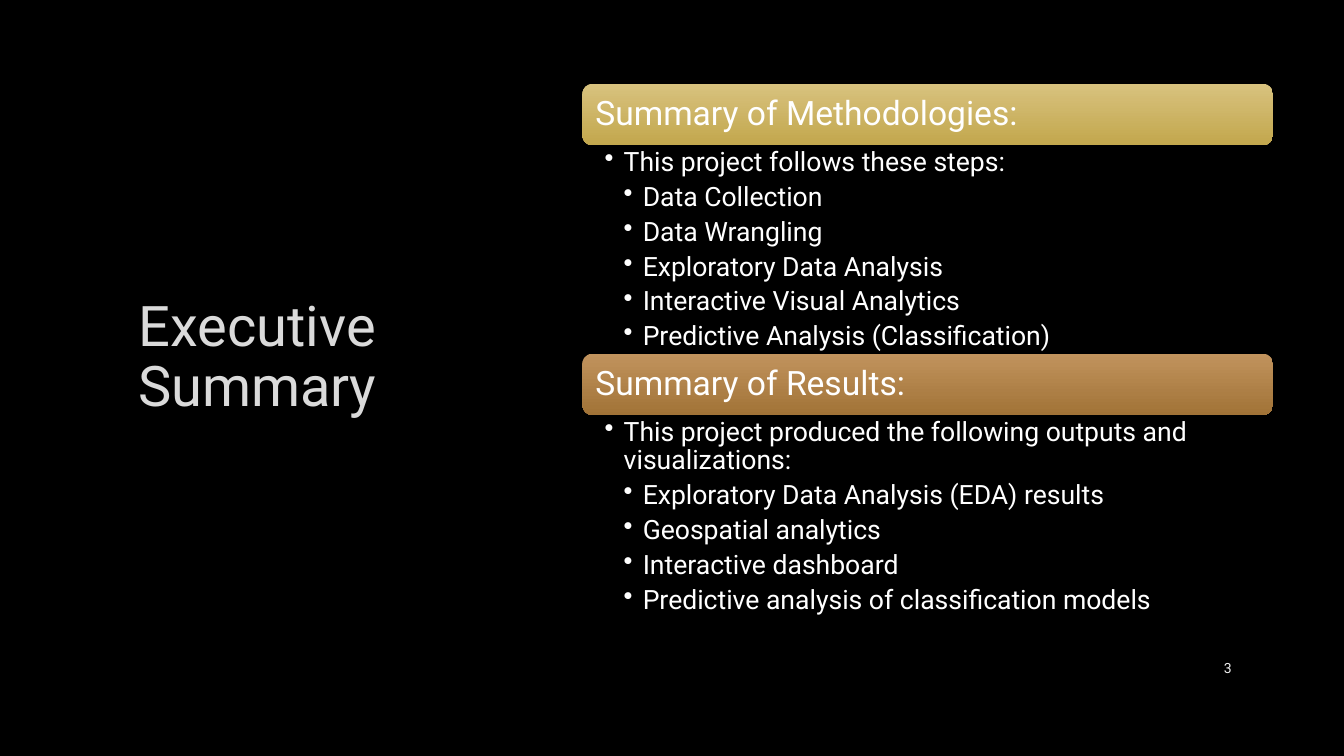
from dataclasses import dataclass

from lxml import etree
from pptx import Presentation
from pptx import util as u
from pptx.dml.color import RGBColor
from pptx.enum import shapes, text
from pptx.oxml import ns

FONT = "Roboto"
BLACK = RGBColor(0x00, 0x00, 0x00)
WHITE = RGBColor(0xFF, 0xFF, 0xFF)
TITLE_GREY = RGBColor(0xDA, 0xDA, 0xDA)
NUMBER_GREY = RGBColor(0xF2, 0xF2, 0xF2)
GOLD = (RGBColor(0xD8, 0xC2, 0x7E), RGBColor(0xC2, 0xA7, 0x4D))
BRONZE = (RGBColor(0xC1, 0x93, 0x5D), RGBColor(0xA1, 0x73, 0x37))

SECTIONS_LEFT = 14.68
SECTIONS_TOP = 2.11
SECTIONS_WIDTH = 17.4
HEADING_HEIGHT = 1.55
INDENT = 0.48


@dataclass
class Section:
    heading: str
    gradient: tuple[RGBColor, RGBColor]
    intro: str
    points: list[str]
    points_height: float


SECTIONS = [
    Section(
        "Summary of Methodologies:",
        GOLD,
        "This project follows these steps:",
        [
            "Data Collection",
            "Data Wrangling",
            "Exploratory Data Analysis",
            "Interactive Visual Analytics",
            "Predictive Analysis (Classification)",
        ],
        5.25,
    ),
    Section(
        "Summary of Results:",
        BRONZE,
        "This project produced the following outputs and visualizations:",
        [
            "Exploratory Data Analysis (EDA) results",
            "Geospatial analytics",
            "Interactive dashboard",
            "Predictive analysis of classification models",
        ],
        4.98,
    ),
]


def style(paragraph, size: float, color: RGBColor, align=text.PP_ALIGN.LEFT,
          spacing: float = 0.9, after: float = 0) -> None:
    paragraph.alignment = align
    paragraph.line_spacing = spacing
    paragraph.space_after = u.Pt(after)
    paragraph.font.name = FONT
    paragraph.font.size = u.Pt(size)
    paragraph.font.color.rgb = color


def add_bullet(paragraph, level: int) -> None:
    paragraph.level = level
    properties = paragraph._p.get_or_add_pPr()
    properties.set("marL", str(u.Cm(INDENT * level)))
    properties.set("indent", str(-u.Cm(INDENT)))
    etree.SubElement(properties, ns.qn("a:buChar")).set("char", "•")


def add_frame(slide, left: float, top: float, width: float, height: float):
    frame = slide.shapes.add_textbox(
        u.Cm(left), u.Cm(top), u.Cm(width), u.Cm(height)).text_frame
    frame.word_wrap = True
    return frame


def add_heading(slide, section: Section, top: float) -> None:
    heading = slide.shapes.add_shape(
        shapes.MSO_SHAPE.ROUNDED_RECTANGLE, u.Cm(SECTIONS_LEFT), u.Cm(top),
        u.Cm(SECTIONS_WIDTH), u.Cm(HEADING_HEIGHT))
    heading.shadow.inherit = False
    heading.line.fill.background()
    heading.fill.gradient()
    heading.fill.gradient_angle = 270
    for stop, color in zip(heading.fill.gradient_stops, section.gradient):
        stop.color.rgb = color
    frame = heading.text_frame
    frame.margin_left = frame.margin_right = u.Cm(0.25)
    frame.vertical_anchor = text.MSO_ANCHOR.MIDDLE
    frame.text = section.heading
    style(frame.paragraphs[0], 24, WHITE)


def add_points(slide, section: Section, top: float) -> None:
    frame = add_frame(slide, SECTIONS_LEFT, top, SECTIONS_WIDTH, section.points_height)
    frame.margin_left, frame.margin_right = u.Cm(0.56), u.Cm(0.48)
    frame.margin_top = frame.margin_bottom = u.Cm(0.08)
    frame.text = "\n".join([section.intro, *section.points])
    for index, paragraph in enumerate(frame.paragraphs):
        add_bullet(paragraph, 2 if index else 1)
        style(paragraph, 19, WHITE, after=4.4)


def main() -> None:
    deck = Presentation()
    deck.slide_width, deck.slide_height = u.Cm(33.87), u.Cm(19.05)
    slide = deck.slides.add_slide(deck.slide_layouts[6])
    slide.background.fill.solid()
    slide.background.fill.fore_color.rgb = BLACK

    title = add_frame(slide, 1.75, 1.7, 9.47, 14.66)
    title.vertical_anchor = text.MSO_ANCHOR.MIDDLE
    title.text = "Executive Summary"
    style(title.paragraphs[0], 40, TITLE_GREY, text.PP_ALIGN.CENTER, after=6)

    page_number = add_frame(slide, 29.21, 16.33, 2.08, 1.02)
    page_number.vertical_anchor = text.MSO_ANCHOR.MIDDLE
    page_number.text = "3"
    style(page_number.paragraphs[0], 10, NUMBER_GREY, text.PP_ALIGN.RIGHT, 1.0, 6)

    top = SECTIONS_TOP
    for section in SECTIONS:
        add_heading(slide, section, top)
        add_points(slide, section, top + HEADING_HEIGHT)
        top += HEADING_HEIGHT + section.points_height

    deck.save("out.pptx")


if __name__ == "__main__":
    main()
